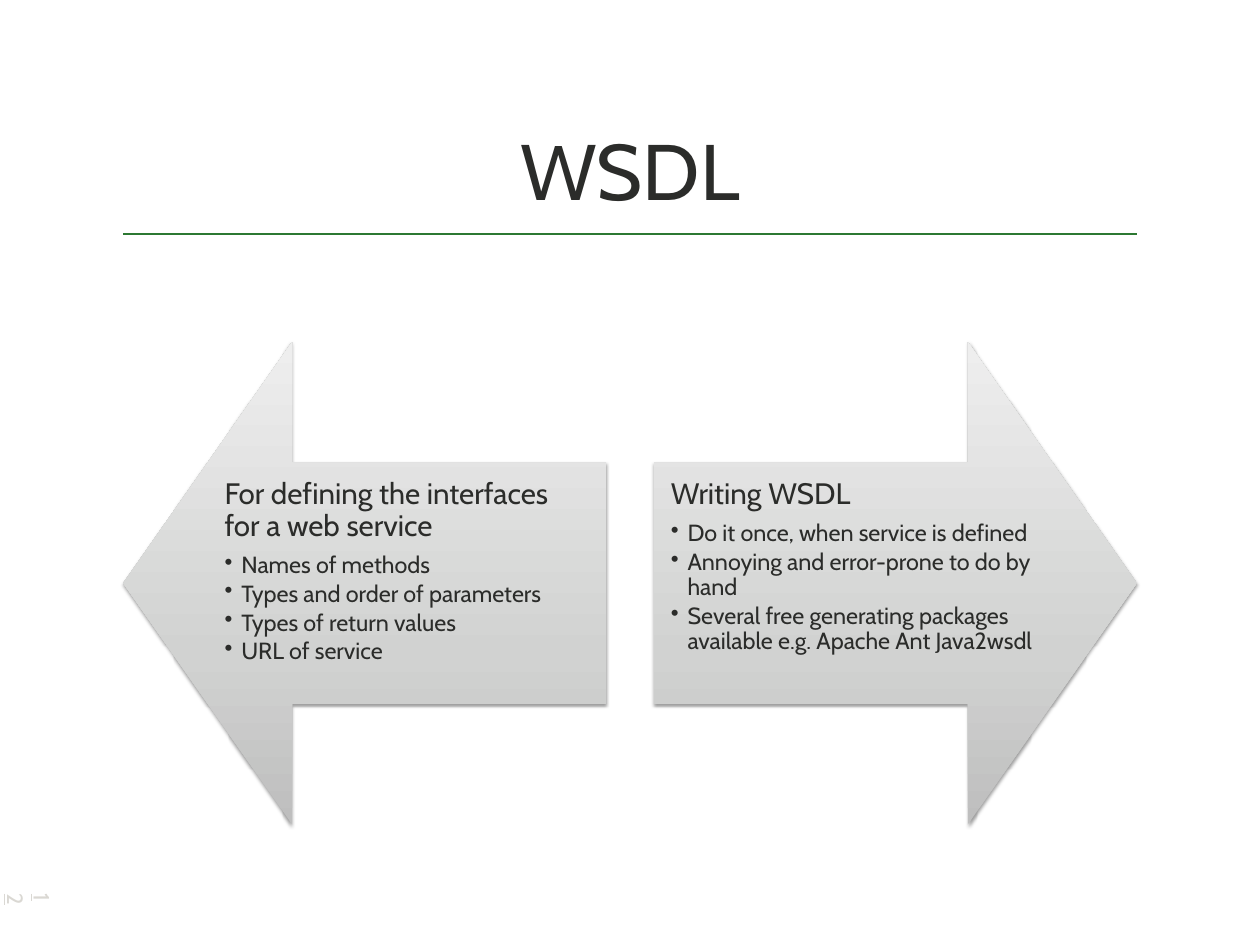
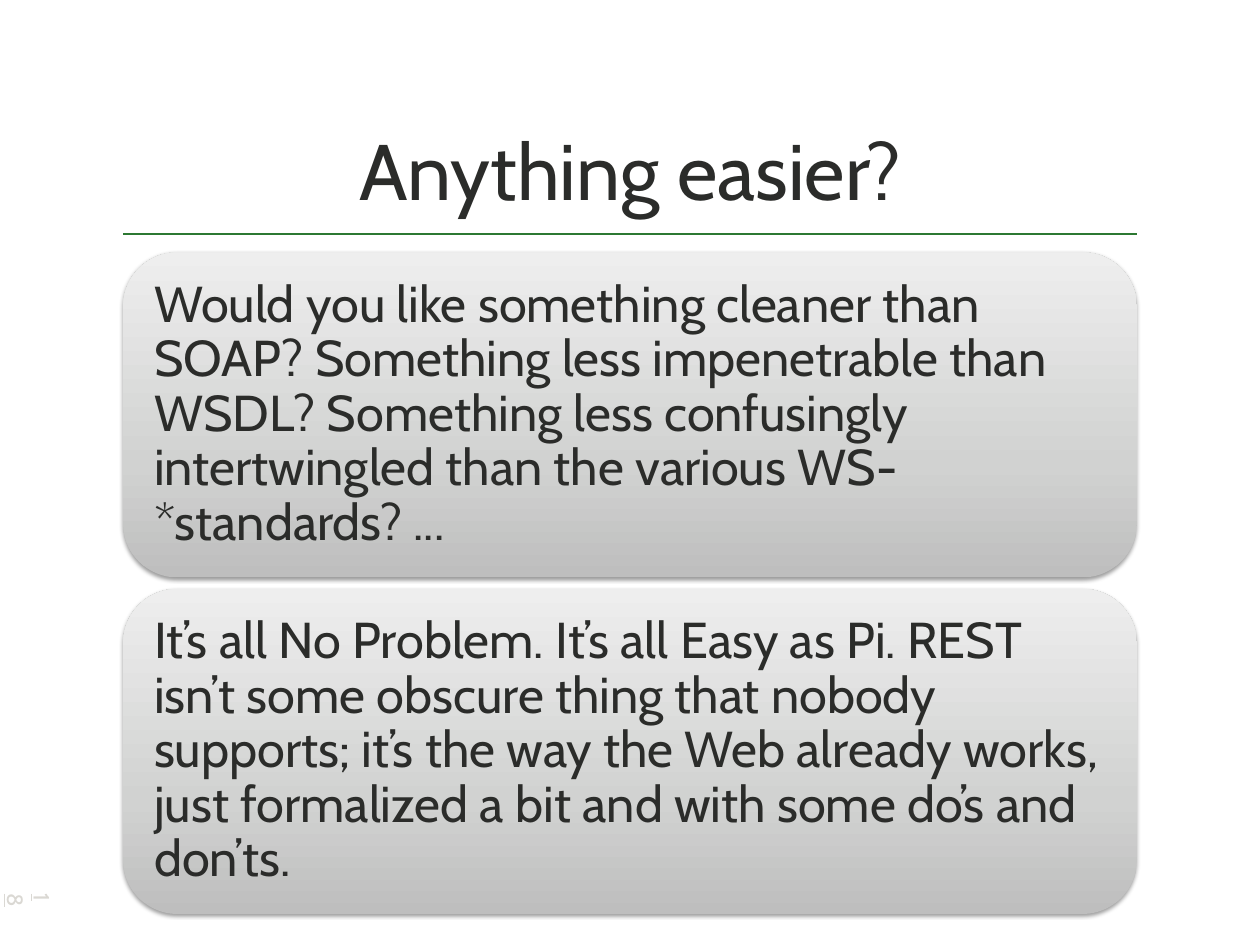
import copy
import lxml.etree
import pptx
import pptx.dml.color
import pptx.enum.shapes
import pptx.enum.text
import pptx.oxml.ns
import pptx.util

Inches, Pt = pptx.util.Inches, pptx.util.Pt
RGB = pptx.dml.color.RGBColor
KIND = pptx.enum.shapes.MSO_SHAPE
ALIGN = pptx.enum.text.PP_ALIGN
ANCHOR = pptx.enum.text.MSO_ANCHOR
qn = pptx.oxml.ns.qn

# Content
ARROWS = [
    (KIND.LEFT_ARROW, "For defining the interfaces for a web service",
     ["Names of methods", "Types and order of parameters",
      "Types of return values", "URL of service"]),
    (KIND.RIGHT_ARROW, "Writing WSDL",
     ["Do it once, when service is defined",
      "Annoying and error-prone to do by hand",
      "Several free generating packages available e.g. Apache Ant Java2wsdl"]),
]
CARDS = [
    "Would you like something cleaner than SOAP? Something less impenetrable "
    "than WSDL? Something less confusingly intertwingled than the various "
    "WS-*standards? ...",
    "It’s all No Problem. It’s all Easy as Pi. REST isn’t some obscure thing "
    "that nobody supports; it’s the way the Web already works, just "
    "formalized a bit and with some do’s and don’ts.",
]

# Shared style
FONT = "Cabin"
INK, GREEN, PALE = RGB(0x2B, 0x2C, 0x2A), RGB(0x2C, 0x78, 0x32), RGB(0xDA, 0xD8, 0xD3)
SHADES = [(0, RGB(0xBE, 0xBE, 0xBE)), (0.35, RGB(0xD1, 0xD2, 0xD1)),
          (1, RGB(0xEE, 0xEE, 0xEE))]
WIDE, HIGH = 14.22, 10.67
LEFT, SPAN = 1.39, 11.44
SIDE = 5.45
CARD, GAP = 3.67, 0.13
HANG = 0.19


def write(frame, text, size, color=INK, align=ALIGN.LEFT, line=None, after=0,
          bullet=False, under=None):
    """Add one paragraph; after is a share of the text size."""
    para = frame.paragraphs[0]
    if para.runs:
        para = frame.add_paragraph()
    para.alignment = align
    para.line_spacing = line
    para.space_after = Pt(round(size * after, 1))
    if bullet:
        props = para._p.get_or_add_pPr()
        props.set("marL", str(Inches(HANG)))
        props.set("indent", str(-Inches(HANG)))
        lxml.etree.SubElement(props, qn("a:buChar"), char="•")
    run = para.add_run()
    run.text = text
    font = run.font
    font.name, font.size, font.underline = FONT, Pt(size), under
    font.color.rgb = color


def setup(frame, inset, anchor=ANCHOR.TOP):
    frame.word_wrap = True
    frame.vertical_anchor = anchor
    frame.margin_left = frame.margin_right = Inches(inset)
    frame.margin_top = frame.margin_bottom = Inches(inset)
    return frame


def panel(slide, kind, left, top, width, height):
    """Add a grey shaded shape with a soft shadow below it."""
    shape = slide.shapes.add_shape(
        kind, Inches(left), Inches(top), Inches(width), Inches(height))
    shape.line.fill.background()
    shape.fill.gradient()
    shape.fill.gradient_angle = 90
    props = shape._element.spPr
    stops = props.find(".//" + qn("a:gsLst"))
    stops.append(copy.deepcopy(stops[0]))
    for stop, (place, color) in zip(shape.fill.gradient_stops, SHADES):
        stop.position = place
        stop.color.rgb = color
    shape.shadow.inherit = False
    shade = lxml.etree.SubElement(
        props.find(qn("a:effectLst")), qn("a:outerShdw"), blurRad=str(Pt(3.1)),
        dist=str(Pt(1.6)), dir="5400000", rotWithShape="0")
    tone = lxml.etree.SubElement(shade, qn("a:srgbClr"), val="000000")
    lxml.etree.SubElement(tone, qn("a:alpha"), val="38000")
    return shape


def start(deck, title, number):
    """Add a slide with its rule, title and page number."""
    slide = deck.slides.add_slide(deck.slide_layouts[6])
    rule = slide.shapes.add_connector(
        pptx.enum.shapes.MSO_CONNECTOR.STRAIGHT,
        Inches(LEFT), Inches(2.64), Inches(LEFT + SPAN), Inches(2.64))
    rule.line.color.rgb, rule.line.width = GREEN, Pt(2)
    lxml.etree.SubElement(rule._element.spPr, qn("a:effectLst"))
    head = slide.shapes.add_textbox(
        Inches(LEFT), Inches(0.28), Inches(SPAN), Inches(2.22))
    write(setup(head.text_frame, 0.06, ANCHOR.BOTTOM), title, 64,
          align=ALIGN.CENTER)
    page = slide.shapes.add_textbox(
        Inches(0.28), Inches(10), Inches(0.41), Inches(0.39))
    page.rotation = 90
    page.text_frame.word_wrap = False
    write(page.text_frame, number, 18, color=PALE, under=True)
    return slide


def main():
    deck = pptx.Presentation()
    deck.slide_width, deck.slide_height = Inches(WIDE), Inches(HIGH)

    # Two arrows pointing apart
    slide = start(deck, "WSDL", "12")
    for i, (kind, lead, items) in enumerate(ARROWS):
        arrow = panel(slide, kind, LEFT + i * (SPAN - SIDE), 3.86, SIDE, SIDE)
        arrow.adjustments[0], arrow.adjustments[1] = 0.5, 0.35
        frame = setup(arrow.text_frame, 0.19)
        write(frame, lead, 24, line=0.9, after=0.35)
        for item in items:
            write(frame, item, 19, line=0.9, after=0.15, bullet=True)

    # Two stacked cards
    slide = start(deck, "Anything easier?", "18")
    for i, text in enumerate(CARDS):
        card = panel(slide, KIND.ROUNDED_RECTANGLE, LEFT,
                     2.85 + i * (CARD + GAP), SPAN, CARD)
        write(setup(card.text_frame, 0.17, ANCHOR.MIDDLE), text, 41, line=0.9)

    deck.save("out.pptx")


if __name__ == "__main__":
    main()
